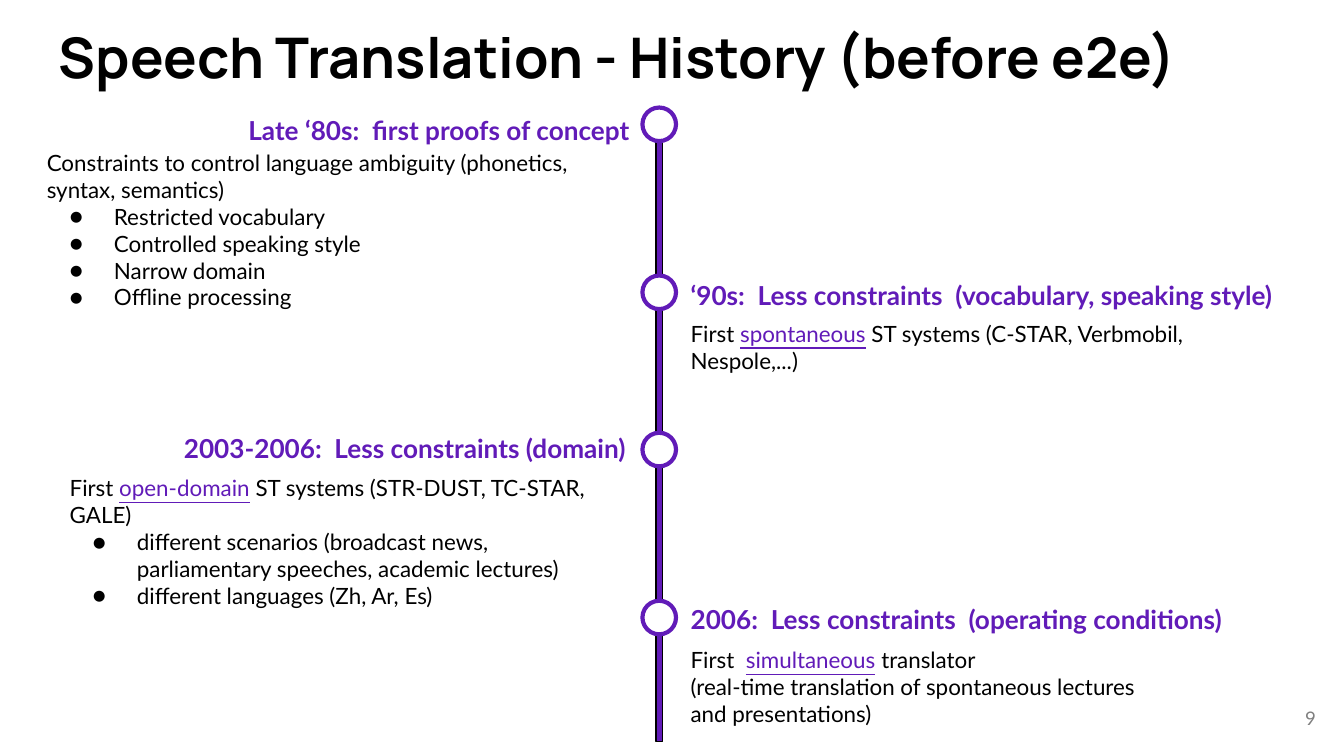
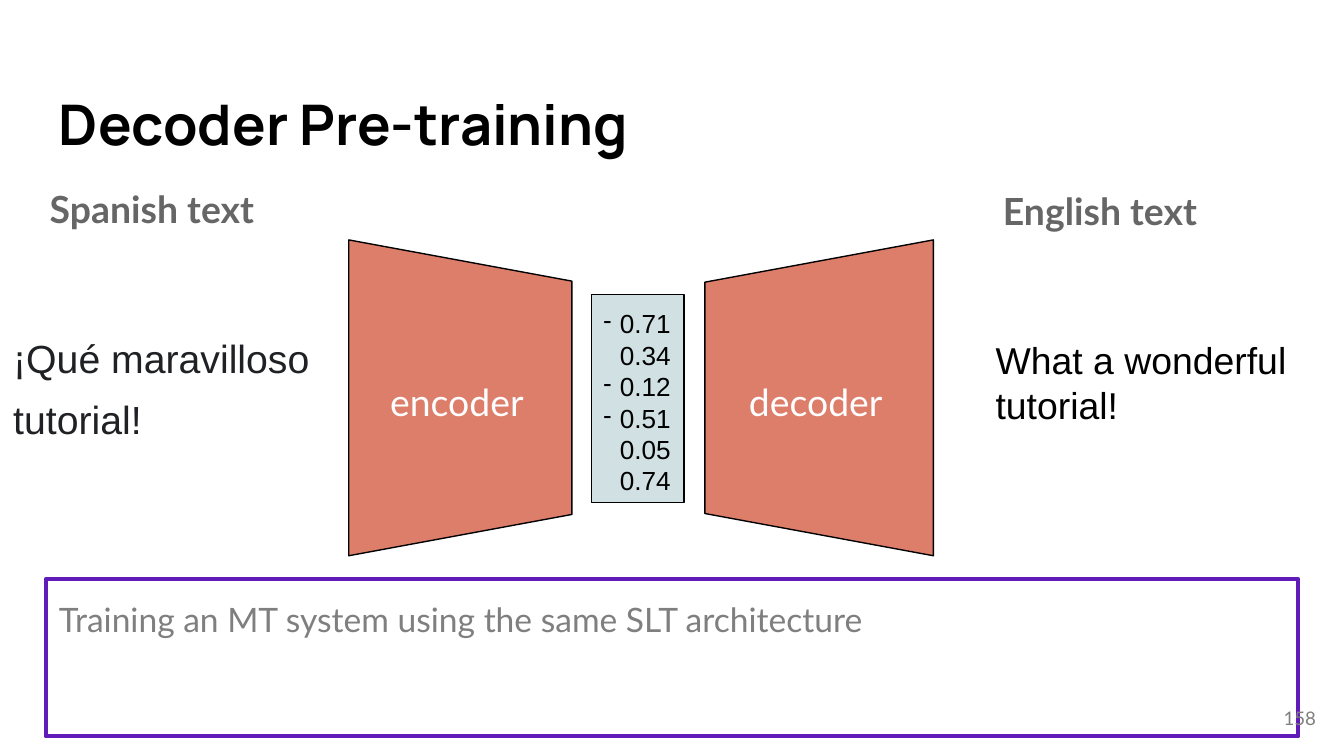
import lxml.etree
import pptx
import pptx.dml.color
import pptx.enum.shapes
import pptx.enum.text
import pptx.oxml.ns
import pptx.util

RGB = pptx.dml.color.RGBColor
SHAPE = pptx.enum.shapes.MSO_SHAPE
ALIGN = pptx.enum.text.PP_ALIGN
ANCHOR = pptx.enum.text.MSO_ANCHOR

PURPLE = RGB(0x61, 0x1B, 0xB8)
BLACK = RGB(0x00, 0x00, 0x00)
WHITE = RGB(0xFF, 0xFF, 0xFF)
CORAL = RGB(0xDD, 0x7E, 0x6B)
PALE_BLUE = RGB(0xD0, 0xE0, 0xE3)
INK = RGB(0x20, 0x21, 0x24)
DARK_GREY = RGB(0x66, 0x66, 0x66)
GREY = RGB(0x7F, 0x7F, 0x7F)

EMU_PER_PX = 9144  # 100 px to the inch
PAGE_WIDTH = 1000
PAGE_HEIGHT = PAGE_WIDTH * 9 / 16
INSET = 10
BULLET_INDENT, BULLET_HANG = 50, 33

# ---- Content: boxes are left, top, width, height in px ----
# A tuple paragraph is (before, underlined term, after).
HISTORY_TITLE = "Speech Translation - History (before e2e)"
TIMELINE_BAR = (488, 86, 5, 466)
RING_LEFT, RING_SIZE = 478, 25
MILESTONES = [
    {
        "ring_top": 80,
        "heading": "Late ‘80s:  first proofs of concept",
        "heading_box": (175, 75, 336, 44),
        "text_box": (25, 101, 453, 141),
        "text": ["Constraints to control language ambiguity (phonetics, syntax, semantics)"],
        "bullets": ["Restricted vocabulary", "Controlled speaking style",
                    "Narrow domain", "Offline processing"],
    },
    {
        "ring_top": 205,
        "heading": "‘90s:  Less constraints  (vocabulary, speaking style)",
        "heading_box": (504, 198, 485, 44),
        "text_box": (504, 228, 467, 40),
        "text": [("First ", "spontaneous", " ST systems (C-STAR, Verbmobil, Nespole,...)")],
        "bullets": [],
    },
    {
        "ring_top": 322,
        "heading": "2003-2006:  Less constraints (domain)",
        "heading_box": (127, 312, 434, 44),
        "text_box": (42, 343, 425, 101),
        "text": [("First ", "open-domain", " ST systems (STR-DUST, TC-STAR, GALE)")],
        "bullets": [
            "different scenarios (broadcast news, parliamentary speeches, academic lectures)",
            "different languages (Zh, Ar, Es)"],
    },
    {
        "ring_top": 447,
        "heading": "2006:  Less constraints  (operating conditions)",
        "heading_box": (504, 439, 479, 44),
        "text_box": (504, 471, 368, 81),
        "text": [("First  ", "simultaneous", " translator"),
                 "(real-time translation of spontaneous lectures and presentations)"],
        "bullets": [],
    },
]

DECODER_TITLE = "Decoder Pre-training"
# label, trapezoid box before rotation, rotation, label box
NETWORKS = [
    ("encoder", (225, 213, 235, 166), 90, (257, 270, 166, 52)),
    ("decoder", (492, 211, 235, 170), 270, (498, 270, 218, 52)),
]
TAPER = 0.185
VECTOR = ["0.71", "0.34", "0.12", "0.51", "0.05", "0.74"]
VECTOR_BOX = (440, 219, 69, 155)
MINUS_SIGNS = ["-", "-", "-"]
MINUS_BOX = (439, 216, 40, 160)
MINUS_GAP_PT = 17  # one line of the vector has no sign
LANGUAGES = [
    ("Spanish text", (7, 127, 212, 52)),
    ("English text", (698, 128, 241, 52)),
]
SPANISH = ("¡Qué maravilloso tutorial!", (0, 213, 258, 142))
ENGLISH = ("What a wonderful tutorial!", (731, 213, 280, 142))
SUMMARY = ("Training an MT system using the same SLT architecture", (34, 431, 932, 117))


# ---- Helpers ----
def px(length):
    return pptx.util.Emu(round(length * EMU_PER_PX))


def place(box):
    return [px(length) for length in box]


def add_bullet(paragraph, font):
    properties = paragraph._p.get_or_add_pPr()
    properties.set("marL", str(px(BULLET_INDENT)))
    properties.set("indent", str(-px(BULLET_HANG)))
    qn = pptx.oxml.ns.qn
    colour = lxml.etree.SubElement(properties, qn("a:buClr"))
    lxml.etree.SubElement(colour, qn("a:srgbClr")).set("val", str(BLACK))
    lxml.etree.SubElement(properties, qn("a:buFont")).set("typeface", font)
    lxml.etree.SubElement(properties, qn("a:buChar")).set("char", "●")


def write(holder, paragraphs, bullets=(), *, size, font="Lato", colour=BLACK, bold=False,
          align=ALIGN.LEFT, anchor=ANCHOR.TOP, spacing=None, after=None):
    """Fill a shape or text box with paragraphs, then with bulleted ones."""
    frame = holder.text_frame
    frame.word_wrap = True
    frame.vertical_anchor = anchor
    frame.margin_left = frame.margin_right = px(INSET)
    frame.margin_top = frame.margin_bottom = px(INSET)
    for index, content in enumerate([*paragraphs, *bullets]):
        paragraph = frame.add_paragraph() if index else frame.paragraphs[0]
        if index >= len(paragraphs):
            add_bullet(paragraph, font)
        paragraph.alignment = align
        if spacing:
            paragraph.line_spacing = spacing
        if after:
            paragraph.space_after = pptx.util.Pt(after)
        parts = (content,) if isinstance(content, str) else content
        for position, part in enumerate(parts):
            run = paragraph.add_run()
            run.text = part
            run.font.name = font
            run.font.size = pptx.util.Pt(size)
            run.font.bold = bold
            is_term = position == 1
            run.font.color.rgb = PURPLE if is_term else colour
            if is_term:
                run.font.underline = True
    return frame


def add_text(slide, box, paragraphs, bullets=(), **style):
    return write(slide.shapes.add_textbox(*place(box)), paragraphs, bullets, **style)


def add_figure(slide, kind, box, *, fill=None, line=BLACK, width=0.75):
    figure = slide.shapes.add_shape(kind, *place(box))
    figure.shadow.inherit = False
    if fill is None:
        figure.fill.background()
    else:
        figure.fill.solid()
        figure.fill.fore_color.rgb = fill
    figure.line.color.rgb = line
    figure.line.width = pptx.util.Pt(width)
    return figure


def add_slide(deck, title, title_top, **title_style):
    slide = deck.slides.add_slide(deck.slide_layouts[6])
    add_text(slide, (34, title_top, 932, 68), [title],
             size=30, font="Manrope", bold=True, **title_style)
    return slide


def add_number(slide, number):
    add_text(slide, (929, 513, 60, 43), [str(number)], size=10, colour=GREY,
             align=ALIGN.RIGHT, anchor=ANCHOR.MIDDLE)


# ---- Slides ----
def build_history(deck):
    slide = add_slide(deck, HISTORY_TITLE, 7)
    for milestone in MILESTONES:
        add_text(slide, milestone["heading_box"], [milestone["heading"]],
                 size=14, colour=PURPLE, bold=True)
        add_text(slide, milestone["text_box"], milestone["text"], milestone["bullets"], size=12)
    add_figure(slide, SHAPE.RECTANGLE, TIMELINE_BAR, fill=PURPLE)
    for milestone in MILESTONES:
        ring_box = (RING_LEFT, milestone["ring_top"], RING_SIZE, RING_SIZE)
        add_figure(slide, SHAPE.OVAL, ring_box, fill=WHITE, line=PURPLE, width=2.25)
    add_number(slide, 9)


def build_decoder(deck):
    slide = add_slide(deck, DECODER_TITLE, 49, spacing=1.15, after=16)
    centred = {"size": 20, "align": ALIGN.CENTER, "anchor": ANCHOR.MIDDLE, "spacing": 1.15}

    # Encoder and decoder
    for label, box, rotation, label_box in NETWORKS:
        network = add_figure(slide, SHAPE.TRAPEZOID, box, fill=CORAL)
        network.adjustments[0] = TAPER
        network.rotation = rotation
        add_text(slide, label_box, [label], colour=WHITE, **centred)

    # Vector between them, with its signs in a column of their own
    vector = add_figure(slide, SHAPE.RECTANGLE, VECTOR_BOX, fill=PALE_BLUE)
    write(vector, VECTOR, size=14, font="Arial", align=ALIGN.RIGHT)
    signs = add_text(slide, MINUS_BOX, MINUS_SIGNS, size=14, font="Arial")
    signs.paragraphs[1].space_before = pptx.util.Pt(MINUS_GAP_PT)

    # Input and output sentences
    for language, box in LANGUAGES:
        add_text(slide, box, [language], colour=DARK_GREY, bold=True, **centred)
    sentence, box = SPANISH
    add_text(slide, box, [sentence], size=21, font="Arial", colour=INK,
             anchor=ANCHOR.MIDDLE, spacing=1.29)
    sentence, box = ENGLISH
    add_text(slide, box, [sentence], size=20, font="Arial", anchor=ANCHOR.MIDDLE)

    # Summary
    summary, box = SUMMARY
    frame = add_figure(slide, SHAPE.RECTANGLE, box, line=PURPLE, width=2.25)
    write(frame, [summary], size=18, colour=GREY, spacing=1.15)
    add_number(slide, 158)


def main():
    deck = pptx.Presentation()
    deck.slide_width = px(PAGE_WIDTH)
    deck.slide_height = px(PAGE_HEIGHT)
    build_history(deck)
    build_decoder(deck)
    deck.save("out.pptx")


if __name__ == "__main__":
    main()
